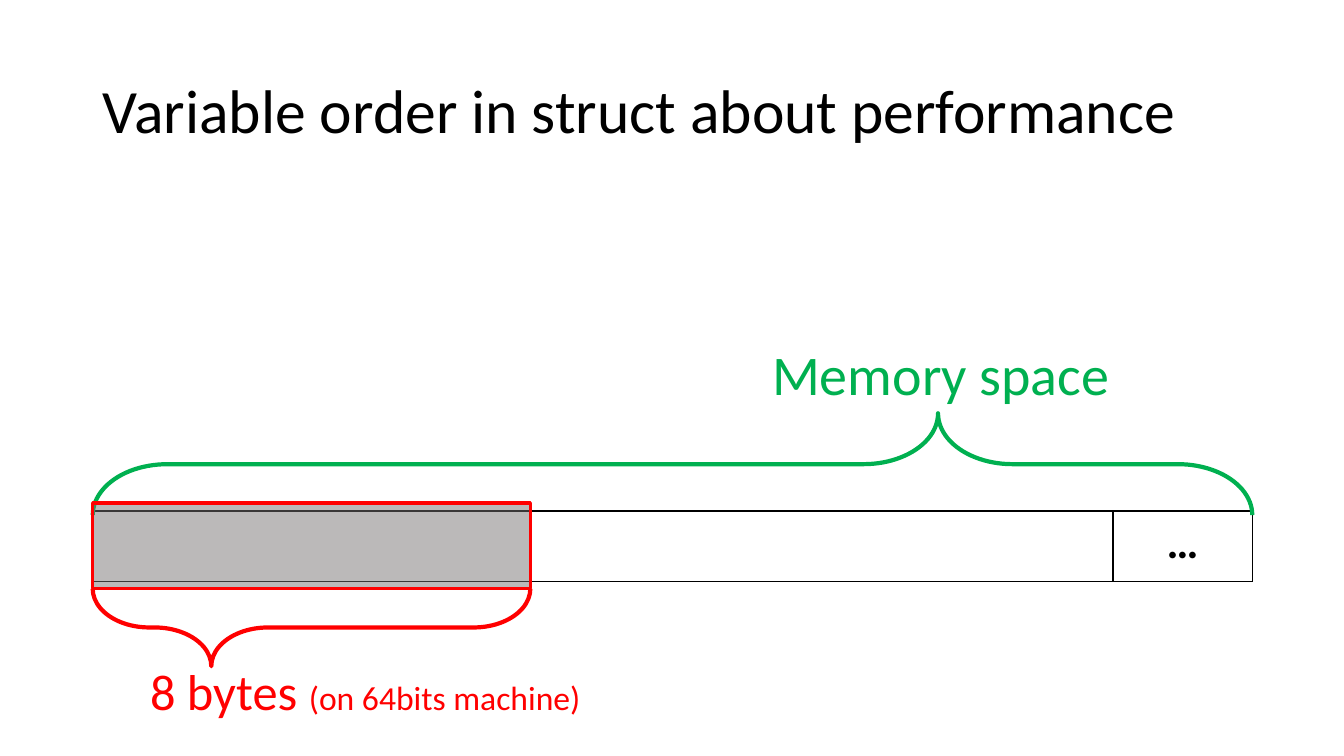
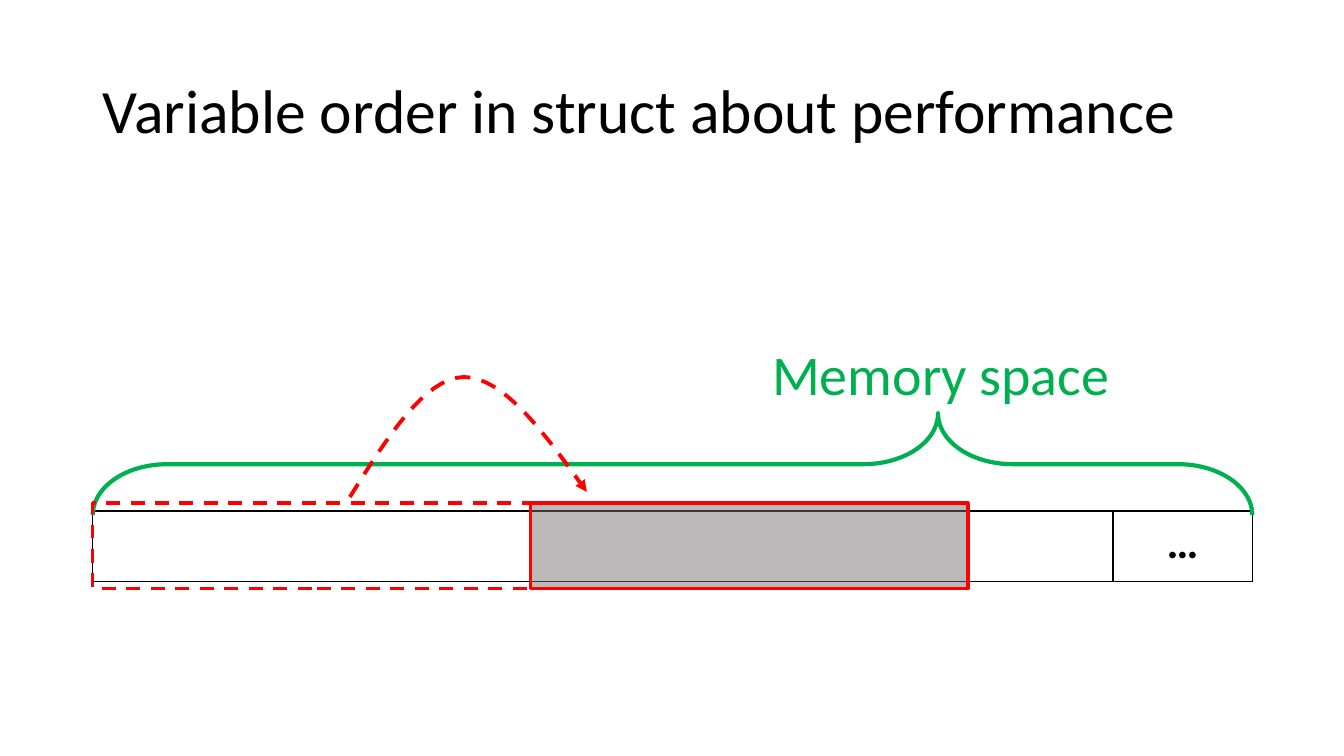
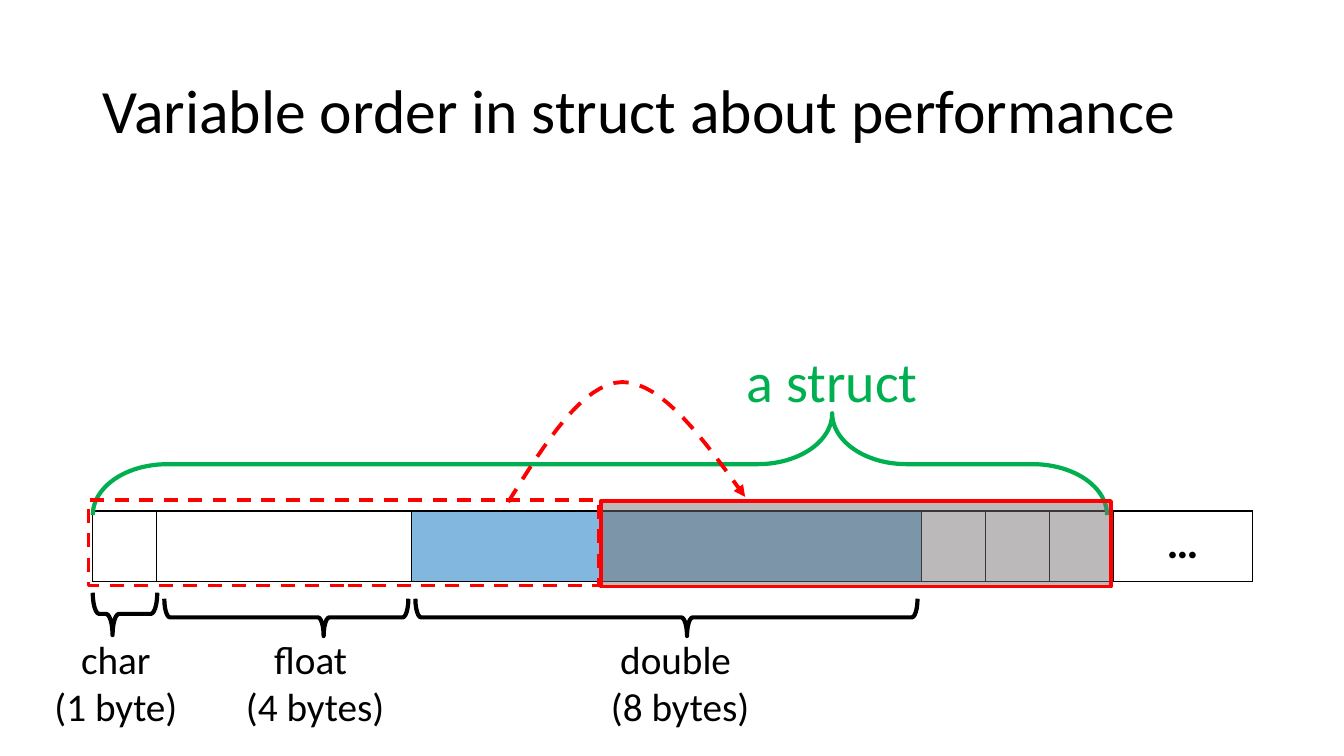
from lxml import etree
from pptx import Presentation
from pptx.dml.color import RGBColor
from pptx.enum.dml import MSO_LINE
from pptx.enum.shapes import MSO_SHAPE
from pptx.enum.text import MSO_ANCHOR, MSO_AUTO_SIZE, PP_ALIGN
from pptx.oxml.ns import qn
from pptx.util import Inches, Pt

DASH = MSO_LINE.DASH
BRACE, RECTANGLE = MSO_SHAPE.LEFT_BRACE, MSO_SHAPE.RECTANGLE
LEFT, CENTER = PP_ALIGN.LEFT, PP_ALIGN.CENTER
MIDDLE = MSO_ANCHOR.MIDDLE
SHRINK_NONE, GROW = MSO_AUTO_SIZE.NONE, MSO_AUTO_SIZE.SHAPE_TO_FIT_TEXT

FONT = "Calibri"
BLACK, WHITE, RED, GREEN, BLUE, GRAY = "000000", "FFFFFF", "FF0000", "00B050", "0070C0", "767171"
TITLE = "Variable order in struct about performance"
TITLE_BOX = (0.92, 0.4, 11.5, 1.45)
MEMORY_LEFT, MEMORY_TOP, MEMORY_HEIGHT = 0.92, 5.07, 0.7
SPACE_WIDTH, REST_WIDTH = 10.12, 1.38
MEMORY_WIDTH = SPACE_WIDTH + REST_WIDTH
BYTE = SPACE_WIDTH / 16
WORD_TOP, WORD_WIDTH, WORD_HEIGHT = 4.99, 4.34, 0.85
WIDE_BRACE, SMALL_BRACE = 0.73, 0.153
TIP = 0.271


def color(value):
    """Turn a hex string into a colour."""
    return RGBColor.from_string(value)


def inches(box):
    """Turn a box of numbers into lengths."""
    return [Inches(number) for number in box]


def set_font(font, size, value, bold=False):
    """Format one font."""
    font.name, font.size, font.bold = FONT, Pt(size), bold
    font.color.rgb = color(value)


def set_fill(fill, properties, value, opacity=100):
    """Fill a shape or a cell, seen through if opacity is below 100."""
    fill.solid()
    fill.fore_color.rgb = color(value)
    if opacity < 100:
        shade = properties.find(f"{qn('a:solidFill')}/{qn('a:srgbClr')}")
        etree.SubElement(shade, qn("a:alpha"), val=str(opacity * 1000))


def set_outline(shape, value, width, dash=None):
    """Give a shape a plain outline and no shadow."""
    shape.shadow.inherit = False
    shape.line.color.rgb = color(value)
    shape.line.width = Pt(width)
    if dash:
        shape.line.dash_style = dash


def add_titled_slide(presentation):
    """Add a slide with the shared title."""
    slide = presentation.slides.add_slide(presentation.slide_layouts[5])
    title = slide.shapes.title
    title.left, title.top, title.width, title.height = inches(TITLE_BOX)
    frame = title.text_frame
    frame.text = TITLE
    frame.vertical_anchor = MIDDLE
    frame.auto_size = SHRINK_NONE
    paragraph = frame.paragraphs[0]
    paragraph.alignment, paragraph.line_spacing = LEFT, 0.9
    set_font(paragraph.font, 44, BLACK)
    return slide


def add_border(cell):
    """Draw a thin black line on each side of a cell."""
    properties = cell._tc.get_or_add_tcPr()
    for index, side in enumerate(("a:lnL", "a:lnR", "a:lnT", "a:lnB")):
        line = etree.Element(qn(side), w=str(Pt(1)))
        fill = etree.SubElement(line, qn("a:solidFill"))
        etree.SubElement(fill, qn("a:srgbClr"), val=BLACK)
        properties.insert(index, line)


def add_memory(slide, byte_counts, blue_index=None):
    """Draw memory as a table row of fields, closed by an ellipsis cell."""
    widths = [count * BYTE for count in byte_counts] + [REST_WIDTH]
    box = inches((MEMORY_LEFT, MEMORY_TOP, MEMORY_WIDTH, MEMORY_HEIGHT))
    table = slide.shapes.add_table(1, len(widths), *box).table
    table.first_row = table.horz_banding = False
    for index, width in enumerate(widths):
        table.columns[index].width = Inches(width)
        cell = table.cell(0, index)
        fill_style = (BLUE, 49) if index == blue_index else (WHITE,)
        set_fill(cell.fill, cell._tc.get_or_add_tcPr(), *fill_style)
        add_border(cell)
    cell.text = "…"
    paragraph = cell.text_frame.paragraphs[0]
    paragraph.alignment = CENTER
    set_font(paragraph.font, 32, BLACK, bold=True)


def add_brace(slide, box, value, rotation, bend=WIDE_BRACE, tip=TIP):
    """Lay a brace across a box, its tip up at 90 degrees or down at 270."""
    left, top, width, height = box
    shift = (width - height) / 2
    upright = inches((left + shift, top - shift, height, width))
    brace = slide.shapes.add_shape(BRACE, *upright)
    brace.rotation = rotation
    brace.adjustments[0], brace.adjustments[1] = bend, tip
    brace.fill.background()
    set_outline(brace, value, 3)


def add_label(slide, box, lines, size, value, alignment=LEFT):
    """Add an unwrapped label with one paragraph for each line."""
    shape = slide.shapes.add_textbox(*inches(box))
    frame = shape.text_frame
    frame.word_wrap, frame.auto_size = False, GROW
    frame.text = "\n".join(lines)
    for paragraph in frame.paragraphs:
        paragraph.alignment = alignment
        set_font(paragraph.font, size, value)
    return frame.paragraphs[0]


def add_span(slide, width, text, label_box):
    """Mark a stretch of memory with a green brace and its name."""
    add_brace(slide, (MEMORY_LEFT, 4.1, width, 1.01), GREEN, 90)
    add_label(slide, label_box, [text], 40, GREEN)


def add_word(slide, left, top, width, shaded=True):
    """Frame one machine word, shaded if it is the current one."""
    box = inches((left, top, width, WORD_HEIGHT))
    frame = slide.shapes.add_shape(RECTANGLE, *box)
    if shaded:
        set_fill(frame.fill, frame._element.spPr, GRAY, 49)
    else:
        frame.fill.background()
    set_outline(frame, RED, 2.5, None if shaded else DASH)


def curve_points(controls, steps=16):
    """Work out the points along a cubic curve."""
    weights = (1, 3, 3, 1)
    return [
        tuple(
            sum(
                weight * (1 - step / steps) ** (3 - power) * (step / steps) ** power * point[axis]
                for power, (weight, point) in enumerate(zip(weights, controls))
            )
            for axis in (0, 1)
        )
        for step in range(1, steps + 1)
    ]


def add_jump(slide, left, top):
    """Draw the dashed arc from one word to the next."""
    start, peak, end = (0, 1.19), (1.13, 0), (2.35, 1.14)
    points = curve_points((start, (0.37, 0.6), (0.74, 0.01), peak))
    points += curve_points((peak, (1.53, 0), (1.94, 0.57), end))
    builder = slide.shapes.build_freeform(
        Inches(left + start[0]), Inches(top + start[1])
    )
    builder.add_line_segments(
        [(Inches(left + x), Inches(top + y)) for x, y in points], close=False
    )
    arc = builder.convert_to_shape()
    arc.fill.background()
    set_outline(arc, RED, 2.75, DASH)
    etree.SubElement(arc.line._get_or_add_ln(), qn("a:tailEnd"), type="triangle")


def add_field(slide, brace_box, tip, lines, label_left, label_width):
    """Mark one struct field with a brace and its type below."""
    add_brace(slide, brace_box, BLACK, 270, SMALL_BRACE, tip)
    add_label(slide, (label_left, 6.25, label_width, 1.04), lines, 28, BLACK, CENTER)


def add_memory_slide(presentation):
    """Add a slide with the plain memory space."""
    slide = add_titled_slide(presentation)
    add_memory(slide, [16])
    add_span(slide, MEMORY_WIDTH, "Memory space", (7.56, 3.32, 3.58, 0.77))
    return slide


def build_word_slide(presentation):
    """Show the first word in memory."""
    slide = add_memory_slide(presentation)
    add_brace(slide, (MEMORY_LEFT, 5.84, WORD_WIDTH, 0.77), RED, 270)
    paragraph = add_label(slide, (1.39, 6.5, 4.51, 0.71), ["8 bytes "], 36, RED)
    note = paragraph.add_run()
    note.text = "(on 64bits machine)"
    note.font.size = Pt(24)
    add_word(slide, MEMORY_LEFT, WORD_TOP, WORD_WIDTH)


def build_jump_slide(presentation):
    """Show the step to the second word."""
    slide = add_memory_slide(presentation)
    add_word(slide, MEMORY_LEFT, WORD_TOP, WORD_WIDTH, shaded=False)
    add_word(slide, MEMORY_LEFT + WORD_WIDTH, WORD_TOP, WORD_WIDTH)
    add_jump(slide, 3.47, 3.74)


def build_struct_slide(presentation):
    """Show a struct whose double crosses two words."""
    slide = add_titled_slide(presentation)
    add_memory(slide, [1, 4, 8, 1, 1, 1], blue_index=2)
    add_span(slide, 10.06, "a struct", (7.31, 3.39, 1.97, 0.77))
    fields = (
        ((0.92, 5.88, 0.64, 0.42), 0.307, ["char", "(1 byte)"], 0.43, 1.44),
        ((1.63, 5.94, 2.42, 0.37), 0.653, ["float ", "(4 bytes)"], 2.33, 1.59),
        ((4.12, 5.94, 4.98, 0.37), 0.541, ["double ", "(8 bytes)"], 5.95, 1.59),
    )
    for field in fields:
        add_field(slide, *field)
    add_word(slide, 0.88, 4.96, 8 * BYTE, shaded=False)
    add_jump(slide, 5.04, 3.79)
    add_word(slide, 5.96, 4.97, 8 * BYTE)


def main():
    """Build and save the presentation."""
    presentation = Presentation()
    presentation.slide_width, presentation.slide_height = Inches(13.33), Inches(7.5)
    build_word_slide(presentation)
    build_jump_slide(presentation)
    build_struct_slide(presentation)
    presentation.save("out.pptx")


if __name__ == "__main__":
    main()
